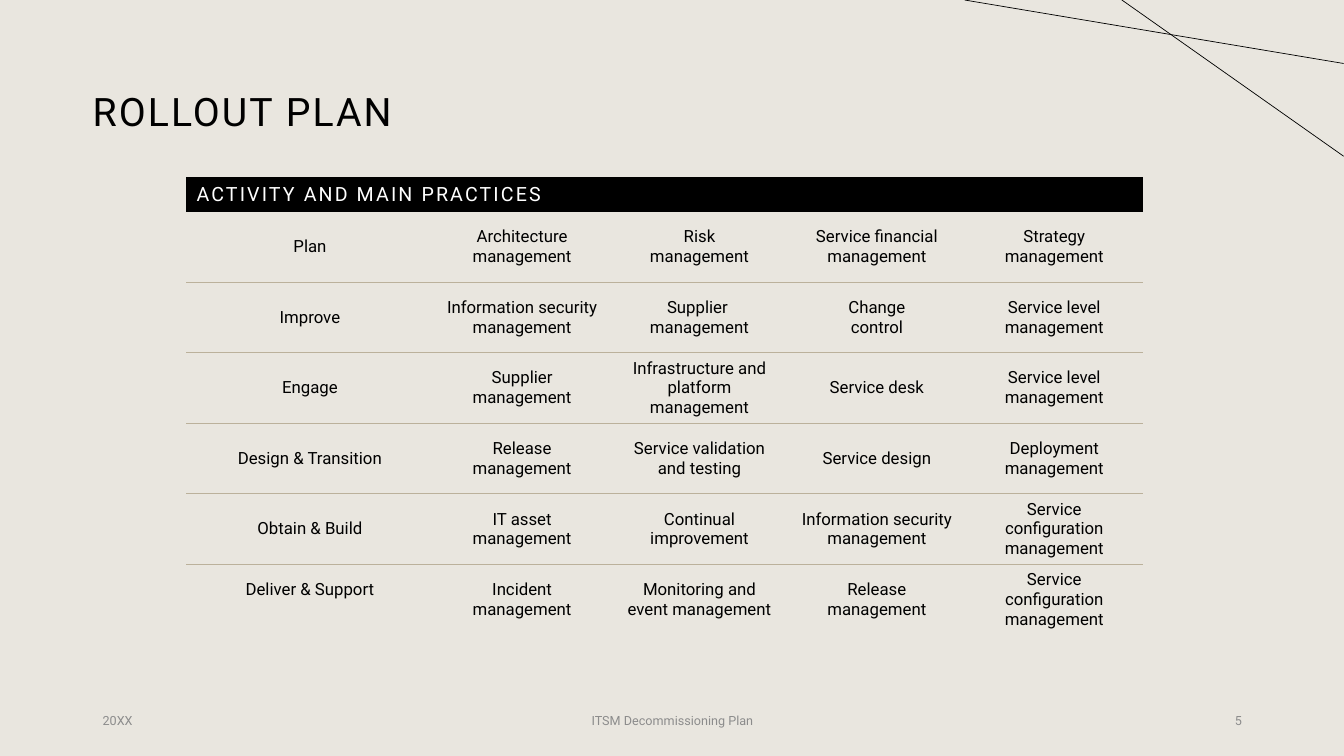
from copy import deepcopy

from lxml import etree
from pptx import Presentation
from pptx.dml.color import RGBColor
from pptx.enum.shapes import MSO_CONNECTOR
from pptx.enum.text import MSO_ANCHOR, PP_ALIGN
from pptx.oxml.ns import qn
from pptx.util import Inches, Pt

LEFT, CENTER, RIGHT = PP_ALIGN.LEFT, PP_ALIGN.CENTER, PP_ALIGN.RIGHT
MIDDLE = MSO_ANCHOR.MIDDLE
STRAIGHT = MSO_CONNECTOR.STRAIGHT
FONT = "Roboto"
PLAIN_TABLE_STYLE = "{2D5ABB26-0587-4C30-8999-92F81FD0307C}"
COLORS = {
    "background": "E9E6DF",
    "ink": "000000",
    "header text": "FFFFFF",
    "rule": "BBB19B",
    "footer": "8C8C8C",
}

TITLE = "ROLLOUT PLAN"
TABLE_HEADER = "ACTIVITY AND MAIN PRACTICES"
PRACTICES = [
    ("Plan", "Architecture management", "Risk\nmanagement",
     "Service financial management", "Strategy\nmanagement"),
    ("Improve", "Information security management", "Supplier \nmanagement",
     "Change\ncontrol", "Service level management"),
    ("Engage", "Supplier management", "Infrastructure and platform management",
     "Service desk", "Service level management"),
    ("Design & Transition", "Release management", "Service validation and testing",
     "Service design", "Deployment management"),
    ("Obtain & Build", "IT asset management", "Continual improvement",
     "Information security management", "Service configuration management"),
    ("Deliver & Support", "Incident management", "Monitoring and event management",
     "Release management", "Service configuration management"),
]
FOOTERS = [  # text, left, width, alignment
    ("20XX", 0.92, 3, LEFT),
    ("ITSM Decommissioning Plan", 4.42, 4.5, CENTER),
    ("5", 9.42, 3, RIGHT),
]
CORNER_LINES = [  # start, end
    ((11.13, 0), (13.33, 1.55)),
    ((9.57, 0), (13.33, 0.63)),
]
SLIDE_HEIGHT = 7.5
SLIDE_WIDTH = SLIDE_HEIGHT * 16 / 9
ACTIVITY_WIDTH, PRACTICE_WIDTH = 2.45, 1.76
HEADER_HEIGHT, ROW_HEIGHT = 0.34, 0.7
HEADER_SIZE = 14


def color(name):
    return RGBColor.from_string(COLORS[name])


def write(text_frame, text, size, ink="ink", align=LEFT, tracking=0, line_spacing=None):
    paragraph = text_frame.paragraphs[0]
    paragraph.text = text
    paragraph.alignment = align
    if line_spacing:
        paragraph.line_spacing = line_spacing
    for run in paragraph.runs:
        run.font.name = FONT
        run.font.size = Pt(size)
        run.font.color.rgb = color(ink)
        run.font._element.set("spc", str(round(tracking * 100)))
    for line_break in paragraph._p.findall(qn("a:br")):
        line_break.append(deepcopy(paragraph.runs[0].font._element))


def set_empty_size(cell, size):
    """Keep an empty cell from stretching its row with default-size text."""
    paragraph = cell.text_frame.paragraphs[0]._p
    etree.SubElement(paragraph, qn("a:endParaRPr"), sz=str(size * 100))


def add_border(cell, side):
    """Draw a thin rule on one side of a cell: "lnT" or "lnB"."""
    properties = cell._tc.get_or_add_tcPr()
    border = etree.SubElement(properties, qn("a:" + side), w=str(Pt(1)))
    fill = etree.SubElement(border, qn("a:solidFill"))
    etree.SubElement(fill, qn("a:srgbClr"), val=COLORS["rule"])


def add_title(slide):
    title = slide.shapes.title
    title.left, title.top = Inches(0.92), Inches(0.4)
    title.width, title.height = Inches(11.5), Inches(1.45)
    title.text_frame.margin_left = 0
    title.text_frame.vertical_anchor = MIDDLE
    write(title.text_frame, TITLE, 28, tracking=1.5, line_spacing=0.9)


def add_practice_table(slide):
    row_count, column_count = len(PRACTICES) + 1, len(PRACTICES[0])
    width = ACTIVITY_WIDTH + PRACTICE_WIDTH * (column_count - 1)
    height = HEADER_HEIGHT + ROW_HEIGHT * len(PRACTICES)
    frame = slide.shapes.add_table(row_count, column_count, Inches(1.85), Inches(1.76),
                                   Inches(width), Inches(height))
    table = frame.table
    table.horz_banding = False
    table._tbl.tblPr.find(qn("a:tableStyleId")).text = PLAIN_TABLE_STYLE
    for index, column in enumerate(table.columns):
        column.width = Inches(PRACTICE_WIDTH if index else ACTIVITY_WIDTH)
    for index, row in enumerate(table.rows):
        row.height = Inches(ROW_HEIGHT if index else HEADER_HEIGHT)

    header = table.cell(0, 0)
    header.merge(table.cell(0, 1))
    header.vertical_anchor = MIDDLE
    write(header.text_frame, TABLE_HEADER, HEADER_SIZE, "header text", tracking=1.5)
    for index, cell in enumerate(table.rows[0].cells):
        cell.fill.solid()
        cell.fill.fore_color.rgb = color("ink")
        if index:
            set_empty_size(cell, HEADER_SIZE)

    for row_index, texts in enumerate(PRACTICES, start=1):
        for column_index, text in enumerate(texts):
            cell = table.cell(row_index, column_index)
            cell.vertical_anchor = MIDDLE
            write(cell.text_frame, text, 12, align=CENTER)
            if row_index > 1:
                add_border(cell, "lnT")
            if row_index < len(PRACTICES):
                add_border(cell, "lnB")
            cell.fill.background()
    # The last activity sits level with the first line of its practices
    table.cell(row_count - 1, 0).margin_bottom = Inches(0.25)


def add_footers(slide):
    for text, left, width, align in FOOTERS:
        box = slide.shapes.add_textbox(Inches(left), Inches(6.95), Inches(width), Inches(0.4))
        box.text_frame.word_wrap = True
        box.text_frame.vertical_anchor = MIDDLE
        write(box.text_frame, text, 9, "footer", align)


def add_corner_lines(slide):
    for start, end in CORNER_LINES:
        points = [Inches(value) for value in start + end]
        line = slide.shapes.add_connector(STRAIGHT, *points)
        line.line.color.rgb = color("ink")
        line.line.width = Pt(0.5)
        etree.SubElement(line._element.spPr, qn("a:effectLst"))


def main():
    presentation = Presentation()
    presentation.slide_width = Inches(SLIDE_WIDTH)
    presentation.slide_height = Inches(SLIDE_HEIGHT)
    slide = presentation.slides.add_slide(presentation.slide_layouts[5])
    slide.background.fill.solid()
    slide.background.fill.fore_color.rgb = color("background")
    add_title(slide)
    add_practice_table(slide)
    add_footers(slide)
    add_corner_lines(slide)
    presentation.save("out.pptx")


if __name__ == "__main__":
    main()
